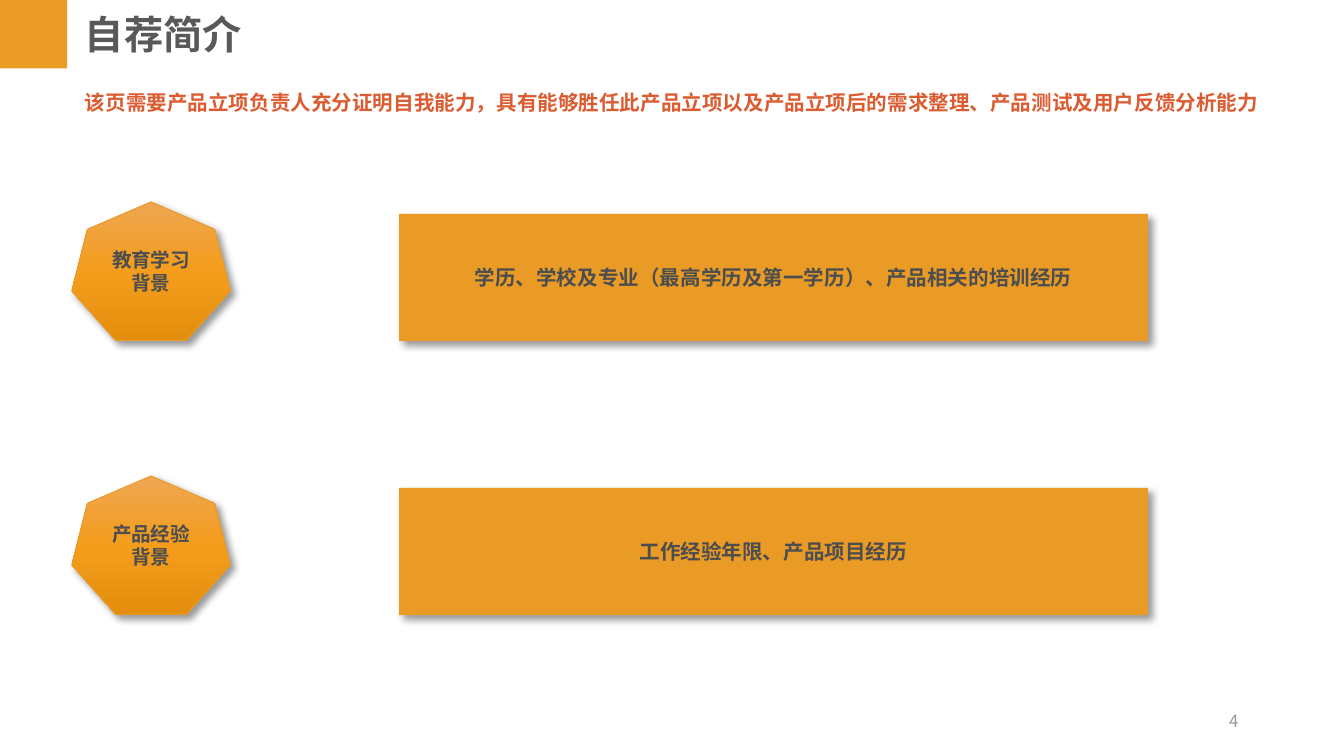
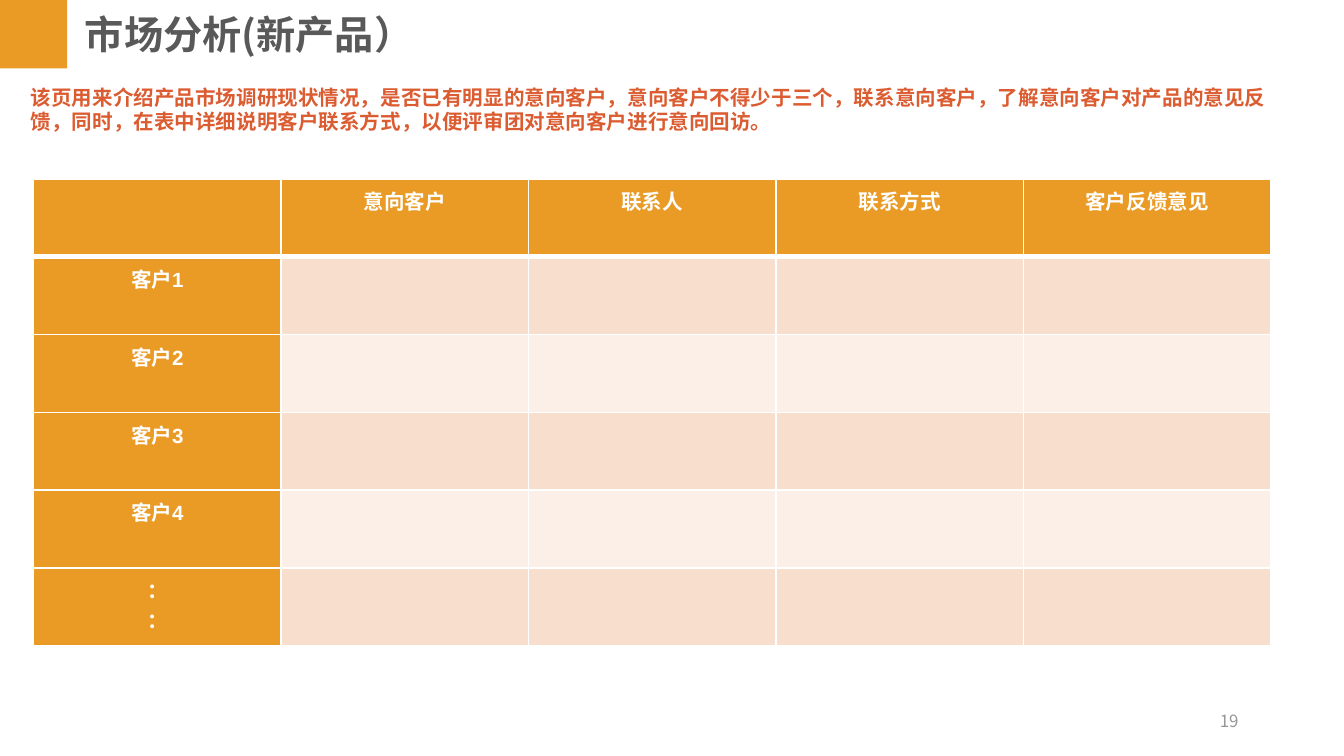
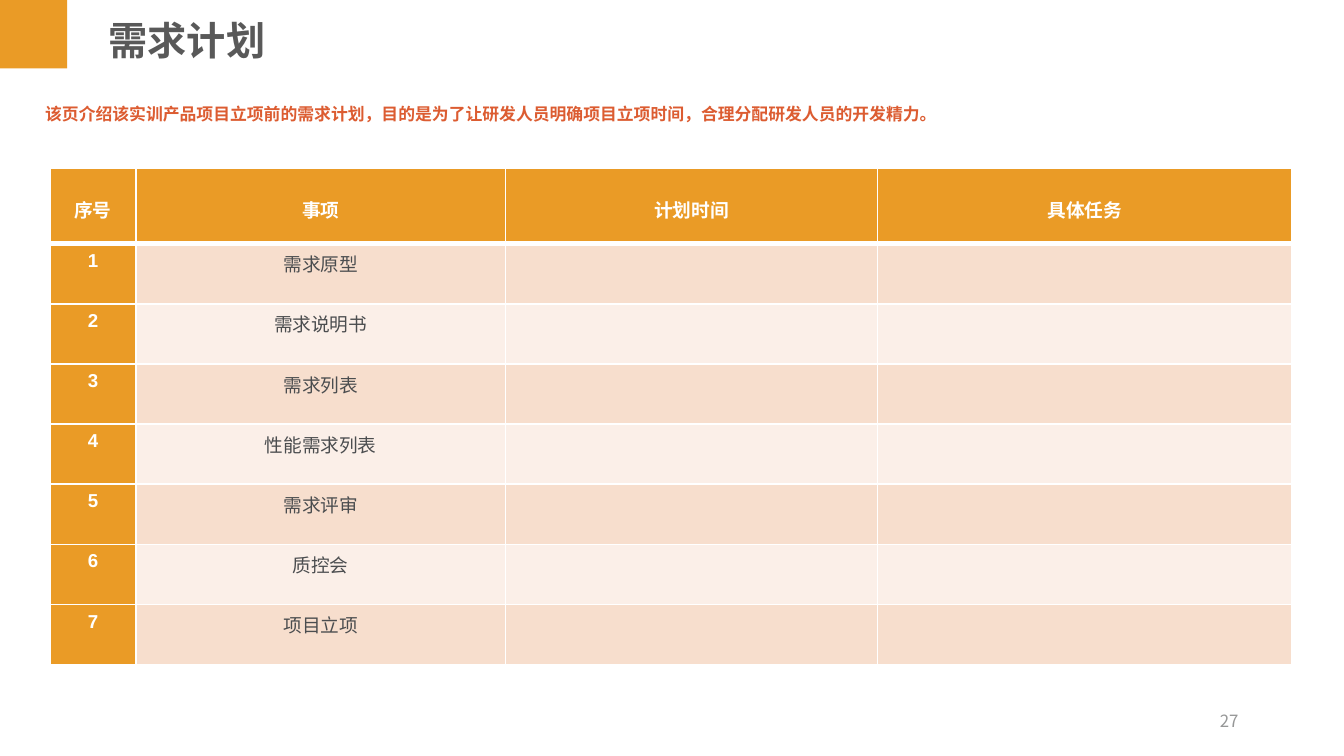
from lxml import etree
from pptx import Presentation
from pptx.dml.color import RGBColor
from pptx.enum import shapes, text
from pptx.oxml import ns
from pptx.util import Pt

ORANGE = RGBColor(0xEA, 0x9B, 0x26)
RED = RGBColor(0xDC, 0x5C, 0x31)
TITLE_GRAY = RGBColor(0x59, 0x59, 0x59)
TEXT_GRAY = RGBColor(0x4B, 0x4D, 0x4F)
NUMBER_GRAY = RGBColor(0x96, 0x97, 0x97)
WHITE = RGBColor(0xFF, 0xFF, 0xFF)
BANDS = [RGBColor(0xF7, 0xDE, 0xCD), RGBColor(0xFB, 0xEF, 0xE8)]
GRADIENT = [(0, "EEA652"), (50, "F49D1C"), (100, "E48E0E")]

CJK, LATIN = "Noto Sans CJK SC", "Arial"
CENTER, RIGHT, LEFT = text.PP_ALIGN.CENTER, text.PP_ALIGN.RIGHT, text.PP_ALIGN.LEFT
MIDDLE = text.MSO_ANCHOR.MIDDLE


def add_xml(parent, tag, **attributes):
    return etree.SubElement(parent, ns.qn(tag), attributes)


def write(frame, words, size, color, font=LATIN, bold=True, align=CENTER):
    frame.text = words
    for paragraph in frame.paragraphs:
        paragraph.alignment = align
        paragraph._p.get_or_add_pPr().set("hangingPunct", "0")
        for run in paragraph.runs:
            run.font.size, run.font.bold, run.font.name = Pt(size), bold, font
            run.font.color.rgb = color
            properties = run.font._element
            properties.set("lang", "zh-CN")
            add_xml(properties, "a:ea", typeface=CJK)
        if not paragraph.runs:
            add_xml(paragraph._p, "a:endParaRPr", sz=str(size * 100))


def add_text(slide, box, words, size, color, **style):
    frame = slide.shapes.add_textbox(*map(Pt, box)).text_frame
    frame.word_wrap = True
    write(frame, words, size, color, font=CJK, **style)
    return frame


def add_block(slide, kind, box):
    shape = slide.shapes.add_shape(kind, *map(Pt, box))
    shape.fill.solid()
    shape.fill.fore_color.rgb = ORANGE
    shape.line.fill.background()
    shape.shadow.inherit = False
    return shape


def cast_shadow(shape):
    effects = shape._element.spPr.find(ns.qn("a:effectLst"))
    shadow = add_xml(effects, "a:outerShdw", blurRad=str(Pt(4)), dist=str(Pt(3)),
                     dir="2700000", algn="tl", rotWithShape="0")
    add_xml(add_xml(shadow, "a:srgbClr", val="000000"), "a:alpha", val="40000")


def fill_gradient(shape):
    shape.fill.gradient()
    gradient = shape._element.spPr.find(ns.qn("a:gradFill"))
    stops = gradient.find(ns.qn("a:gsLst"))
    for stop in list(stops):
        stops.remove(stop)
    for position, color in GRADIENT:
        stop = add_xml(stops, "a:gs", pos=str(position * 1000))
        add_xml(stop, "a:srgbClr", val=color)
    gradient.find(ns.qn("a:lin")).set("ang", "5400000")


def add_page(presentation, number, title, title_box, note, note_box, note_size=11):
    """Slide with page number, corner block, title and red note."""
    slide = presentation.slides.add_slide(presentation.slide_layouts[6])
    frame = add_text(slide, (508.5, 375.3, 162, 21.6), str(number), 9, NUMBER_GRAY,
                     bold=False, align=RIGHT)
    frame.vertical_anchor = MIDDLE
    add_block(slide, shapes.MSO_SHAPE.RECTANGLE, (0, 0, 36, 36.7))
    for box, words, size, color in ((title_box, title, 21, TITLE_GRAY),
                                    (note_box, note, note_size, RED)):
        frame = add_text(slide, box, words, size, color, align=LEFT)
        frame.auto_size = text.MSO_AUTO_SIZE.SHAPE_TO_FIT_TEXT
    return slide


def add_background_row(slide, left, top, label, details):
    """Heptagon label with a detail bar to its right."""
    badge = add_block(slide, shapes.MSO_SHAPE.HEPTAGON, (left, top, 85, 74.2))
    fill_gradient(badge)
    badge.line.color.rgb = ORANGE
    badge.line.width = Pt(0.5)
    bar = add_block(slide, shapes.MSO_SHAPE.RECTANGLE, (left + 175.4, top + 6.4, 401.2, 68.2))
    for shape, words, size in ((badge, label, 10.5), (bar, details, 11)):
        cast_shadow(shape)
        shape.text_frame.vertical_anchor = MIDDLE
        write(shape.text_frame, words, size, TEXT_GRAY)


def add_header_borders(cell):
    properties = cell._tc.get_or_add_tcPr()
    for side, width in (("L", 1), ("R", 1), ("T", 1), ("B", 3)):
        line = add_xml(properties, "a:ln" + side, w=str(Pt(width)))
        add_xml(add_xml(line, "a:solidFill"), "a:srgbClr", val=str(WHITE))


def add_grid(slide, left, top, widths, heights, rows, size, header_margin=3.6):
    """Table with orange header row and first column, banded body."""
    frame = slide.shapes.add_table(len(heights), len(widths), Pt(left), Pt(top),
                                   Pt(sum(widths)), Pt(sum(heights)))
    table = frame.table
    table.first_col = True
    for column, width in zip(table.columns, widths):
        column.width = Pt(width)
    for i, height in enumerate(heights):
        table.rows[i].height = Pt(height)
        for j in range(len(widths)):
            cell = table.cell(i, j)
            if i == 0:
                add_header_borders(cell)
                cell.margin_top = Pt(header_margin)
            heading = i == 0 or j == 0
            cell.fill.solid()
            cell.fill.fore_color.rgb = ORANGE if heading else BANDS[(i - 1) % 2]
            words = rows[i][j] if j < len(rows[i]) else ""
            write(cell.text_frame, words, size, WHITE if heading else TEXT_GRAY, bold=heading)


presentation = Presentation()
presentation.slide_width, presentation.slide_height = Pt(720), Pt(405)

# Self-introduction
slide = add_page(presentation, 4, "自荐简介", (38.4, 2.2, 265, 32.4),
                 "该页需要产品立项负责人充分证明自我能力，具有能够胜任此产品立项以及"
                 "产品立项后的需求整理、产品测试及用户反馈分析能力", (38.4, 44.6, 661.7, 20.9))
backgrounds = [("教育学习\n背景", "学历、学校及专业（最高学历及第一学历）、产品相关的培训经历"),
               ("产品经验\n背景", "工作经验年限、产品项目经历")]
for i, (label, details) in enumerate(backgrounds):
    add_background_row(slide, 38.4, 108.2 + 146.8 * i, label, details)

# Market analysis
slide = add_page(presentation, 19, "市场分析(新产品）", (38.4, 2.2, 415.4, 32.4),
                 "该页用来介绍产品市场调研现状情况，是否已有明显的意向客户，意向客户不得"
                 "少于三个，联系意向客户，了解意向客户对产品的意见反馈，同时，在表中详细"
                 "说明客户联系方式，以便评审团对意向客户进行意向回访。", (9.4, 41.8, 692, 33.8))
customers = [["", "意向客户", "联系人", "联系方式", "客户反馈意见"]]
customers += [[f"客户{n}"] for n in range(1, 5)] + [["：\n："]]
add_grid(slide, 18, 95.8, [132.6] * 5, [41.7] * 6, customers, 11)

# Requirements plan
slide = add_page(presentation, 27, "需求计划", (51, 5, 265, 32.4),
                 "该页介绍该实训产品项目立项前的需求计划，目的是为了让研发人员明确项目"
                 "立项时间，合理分配研发人员的开发精力。", (17.1, 51.8, 685.4, 18), 9)
tasks = ["需求原型", "需求说明书", "需求列表", "性能需求列表", "需求评审", "质控会", "项目立项"]
plan = [["序号", "事项", "计划时间", "具体任务"]]
plan += [[str(n), task] for n, task in enumerate(tasks, 1)]
add_grid(slide, 26.8, 90.1, [46, 198, 199.4, 221.8], [40.4] + [32.25] * 7, plan, 10,
         header_margin=15)

presentation.save("out.pptx")
